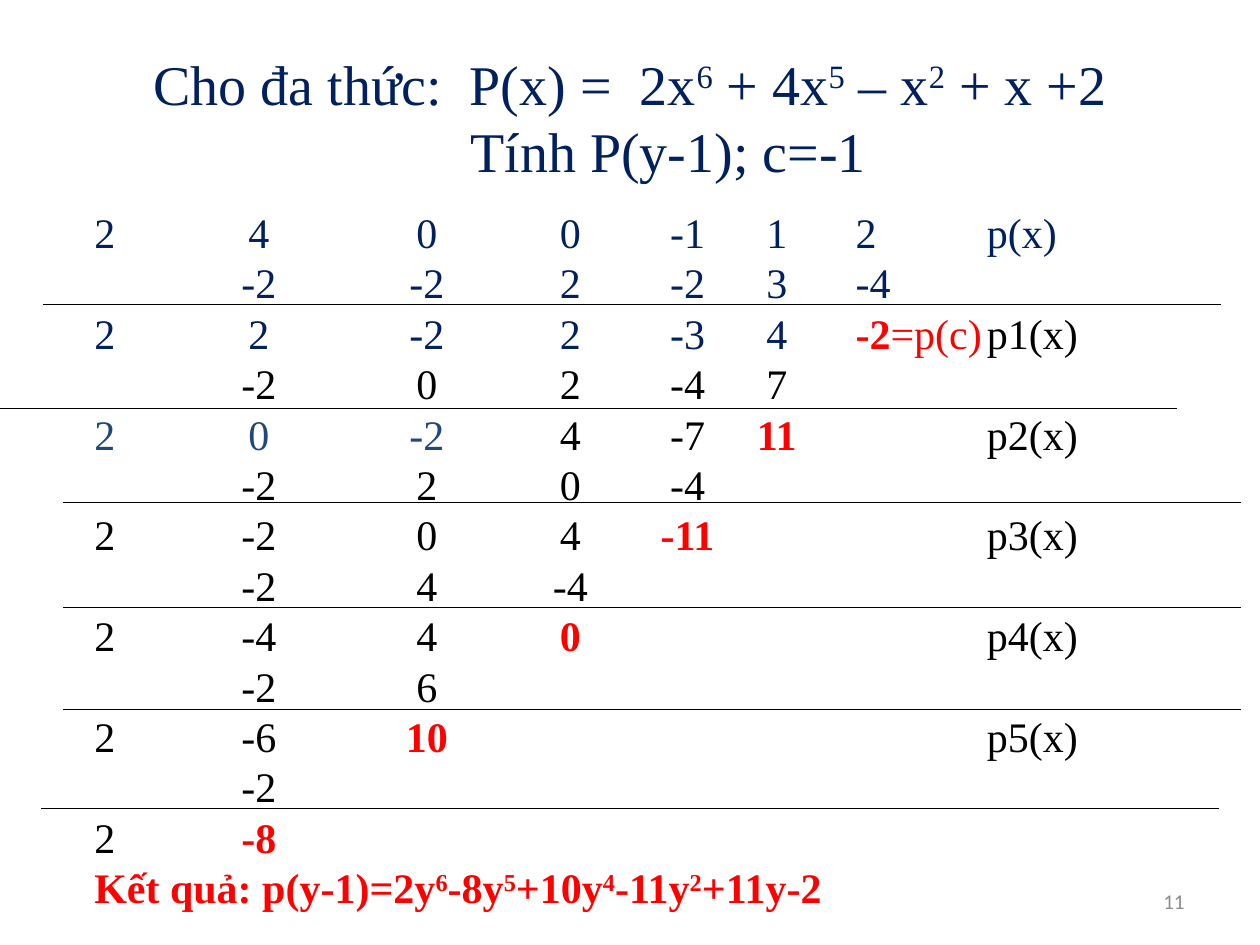
from lxml.etree import SubElement
from pptx import Presentation
from pptx.dml.color import RGBColor
from pptx.enum.shapes import MSO_CONNECTOR
from pptx.enum.text import MSO_ANCHOR, PP_ALIGN
from pptx.oxml.ns import qn
from pptx.util import Pt

NAVY = RGBColor(0x00, 0x20, 0x60)
BLUE = RGBColor(0x1F, 0x49, 0x7D)
RED = RGBColor(0xFF, 0x00, 0x00)
BLACK = RGBColor(0x00, 0x00, 0x00)
GRAY = RGBColor(0x8C, 0x8C, 0x8C)
SERIF = "Times New Roman"

TITLE = ["Cho đa thức:  P(x) =  2x^6^ + 4x^5^ – x^2^ + x +2", "Tính P(y-1); c=-1"]
TABS = [(94, "ctr"), (190, "ctr"), (272, "ctr"), (339, "ctr"),
        (390, "ctr"), (435, "l"), (510, "l")]
ROWS = [
    [("2\t4\t0\t0\t-1\t1\t2\tp(x)", NAVY, False)],
    [("\t-2\t-2\t2\t-2\t3\t-4", NAVY, False)],
    [("2\t2\t-2\t2\t-3\t4\t", NAVY, False), ("-2", RED, True),
     ("=p(c)", RED, False), ("\tp1(x)", BLACK, False)],
    [("\t-2\t0\t2\t-4\t7", BLACK, False)],
    [("2\t0\t-2\t", BLUE, False), ("4\t-7\t", BLACK, False),
     ("11", RED, True), ("\t\tp2(x)", BLACK, False)],
    [("\t-2\t2\t0\t-4", BLACK, False)],
    [("2\t-2\t0\t4\t", BLACK, False), ("-11", RED, True),
     ("\t\t\tp3(x)", BLACK, False)],
    [("\t-2\t4\t-4", BLACK, False)],
    [("2\t-4\t4\t", BLACK, False), ("0", RED, True),
     ("\t\t\t\tp4(x)", BLACK, False)],
    [("\t-2\t6", BLACK, False)],
    [("2\t-6\t", BLACK, False), ("10", RED, True),
     ("\t\t\t\t\tp5(x)", BLACK, False)],
    [("\t-2", BLACK, False)],
    [("2\t", BLACK, False), ("-8", RED, True)],
    [("Kết quả: p(y-1)=2y^6^-8y^5^+10y^4^-11y^2^+11y-2", RED, True)],
]
RULES = [(24.5, 174.2), (-0.5, 233.3), (36, 287.3), (36, 347), (36, 405.4), (23.5, 462.2)]
RULE_WIDTH = 673


def add_text_frame(s, x, y, w, h, anchor=MSO_ANCHOR.TOP):
    tf = s.shapes.add_textbox(Pt(x), Pt(y), Pt(w), Pt(h)).text_frame
    tf.word_wrap = True
    tf.vertical_anchor = anchor
    return tf


def next_paragraph(tf, i, size, leading):
    p = tf.paragraphs[0] if i == 0 else tf.add_paragraph()
    p.font.name = SERIF
    p.font.size = Pt(size)
    p.line_spacing = Pt(leading)
    return p


def add_runs(p, text, color, bold=False):
    for i, part in enumerate(text.split("^")):
        r = p.add_run()
        r.text = part
        r.font.color.rgb = color
        r.font.bold = bold
        if i % 2:
            r._r.get_or_add_rPr().set("baseline", "30000")


def set_tabs(p):
    tabs = SubElement(p._p.get_or_add_pPr(), qn("a:tabLst"))
    for pos, align in TABS:
        SubElement(tabs, qn("a:tab"), pos=str(Pt(pos)), algn=align)
    pPr = p._p.pPr
    default = pPr.find(qn("a:defRPr"))
    if default is not None:
        default.addprevious(tabs)


def add_title(s, x, y, w, h):
    tf = add_text_frame(s, x, y, w, h, MSO_ANCHOR.MIDDLE)
    for i, line in enumerate(TITLE):
        p = next_paragraph(tf, i, 32, 38.3)
        p.alignment = PP_ALIGN.CENTER
        add_runs(p, line, NAVY)
    p._p.get_or_add_pPr().set("marL", str(Pt(44)))


def add_scheme(s, x, y, w, h):
    tf = add_text_frame(s, x, y, w, h)
    tf.margin_top = Pt(5)
    for i, row in enumerate(ROWS):
        p = next_paragraph(tf, i, 24, 28.8)
        set_tabs(p)
        for text, color, bold in row:
            add_runs(p, text, color, bold)


def add_rules(s):
    for x, y in RULES:
        line = s.shapes.add_connector(
            MSO_CONNECTOR.STRAIGHT, Pt(x), Pt(y), Pt(x + RULE_WIDTH), Pt(y))
        line.line.color.rgb = BLACK
        line.line.width = Pt(0.75)
        SubElement(line._element.spPr, qn("a:effectLst"))


def add_page_number(s, x, y, w, h):
    tf = add_text_frame(s, x, y, w, h, MSO_ANCHOR.MIDDLE)
    p = tf.paragraphs[0]
    p.text = "11"
    p.alignment = PP_ALIGN.RIGHT
    p.font.name = "Calibri"
    p.font.size = Pt(12)
    p.font.color.rgb = GRAY


def main():
    prs = Presentation()
    prs.slide_width, prs.slide_height = Pt(720), Pt(540)
    s = prs.slides.add_slide(prs.slide_layouts[6])
    add_title(s, 36, 21.6, 648, 90)
    add_page_number(s, 516, 500.5, 168, 28.8)
    add_scheme(s, 46.8, 113, 673.2, 472.3)
    add_rules(s)
    prs.save("out.pptx")


if __name__ == "__main__":
    main()
